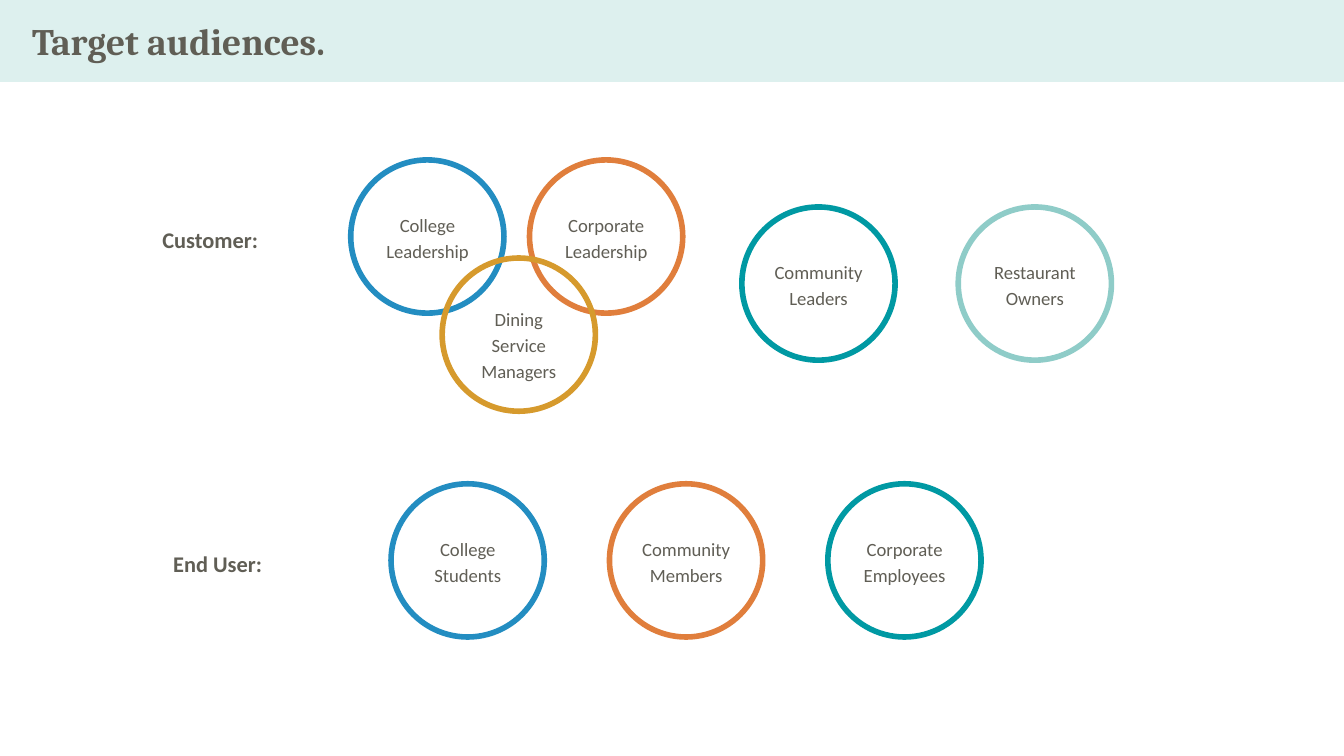
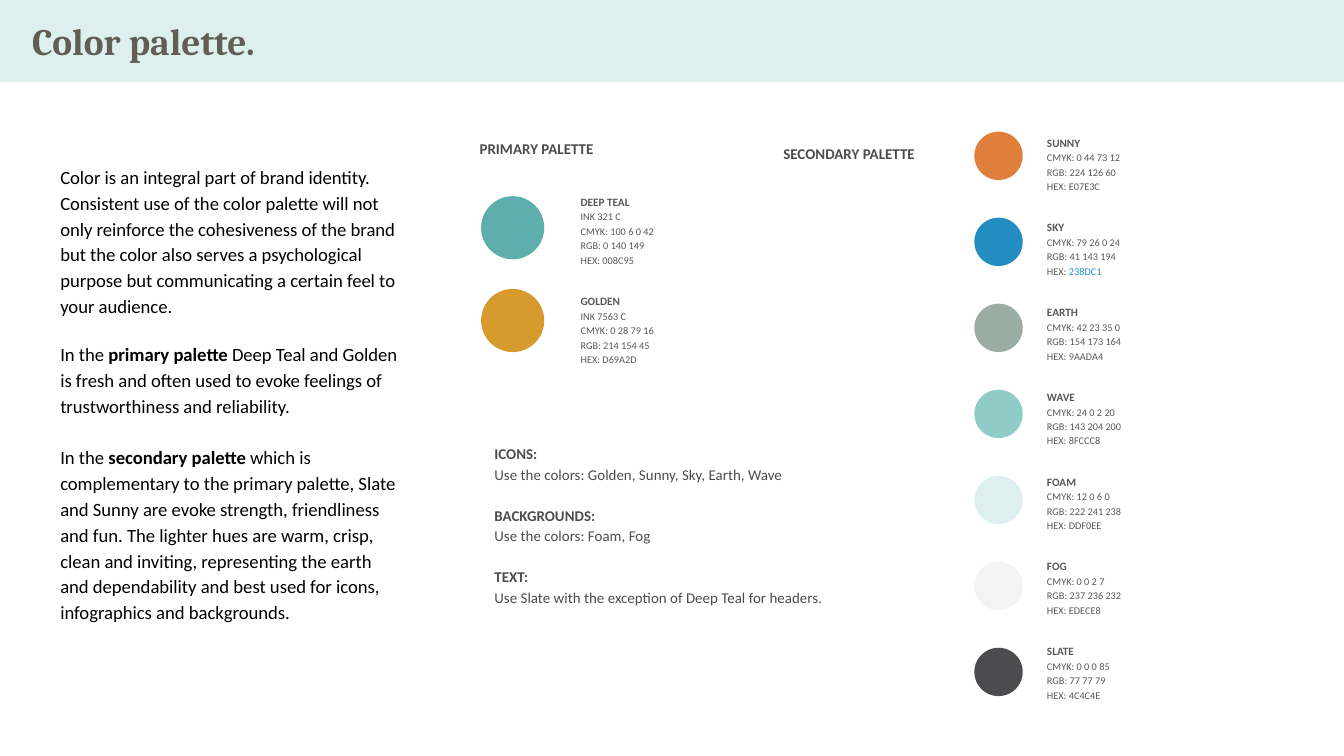
from dataclasses import dataclass, replace

from pptx import Presentation
from pptx.dml.color import RGBColor
from pptx.enum.shapes import MSO_SHAPE as Shape
from pptx.enum.text import MSO_ANCHOR as Anchor, PP_ALIGN as Align
from pptx.util import Inches, Pt

COLUMNS, ROWS = 100, 56.25
CELL = Inches(10) / COLUMNS  # columns and rows are both a tenth of an inch
INSET = 1


@dataclass(frozen=True)
class Style:
    size: float
    color: str
    bold: bool = False
    font: str = "Calibri"

    def strong(self):
        return replace(self, bold=True)


class Theme:
    sunny, sky, golden = "E07E3C", "238DC1", "D69A2D"
    earth, wave, foam = "9AADA4", "8FCCC8", "DDF0EE"
    fog, slate = "F3F3F3", "4C4C4E"
    teal, soft_teal, taupe = "0099A3", "5EAEAD", "605E55"
    title = Style(20, taupe, True, "Cambria")
    group = Style(12, taupe, True)
    audience = Style(10, taupe)
    body = Style(10, "000000")
    usage = Style(8, slate)
    swatch_name = Style(6, "57585A", True)
    swatch_code = Style(5.5, "57585A")
    spacing = 1.15
    ring_width = Pt(3)


def grid(*units):
    return [round(unit * CELL) for unit in units]


def write(frame, paragraphs, align=Align.LEFT, spacing=Theme.spacing):
    """Fill a text frame; each paragraph is (space before, spans of (text, style))."""
    for index, (gap, spans) in enumerate(paragraphs):
        para = frame.paragraphs[0] if index == 0 else frame.add_paragraph()
        para.alignment = align
        para.line_spacing = spacing
        para.space_before = Pt(gap)
        for text, style in spans:
            span = para.add_run()
            span.text = text
            span.font.name = style.font
            span.font.size = Pt(style.size)
            span.font.bold = style.bold
            span.font.color.rgb = RGBColor.from_string(style.color)


def add_text(page, place, paragraphs, anchor=Anchor.TOP, **layout):
    frame = page.shapes.add_textbox(*grid(*place)).text_frame
    frame.word_wrap = True
    frame.vertical_anchor = anchor
    frame.margin_left, frame.margin_top, frame.margin_right, frame.margin_bottom = grid(*[INSET] * 4)
    write(frame, paragraphs, **layout)


def add_label(page, place, text, style, anchor=Anchor.MIDDLE, **layout):
    add_text(page, place, [(0, [(text, style)])], anchor, **layout)


def add_filled(page, kind, place, color):
    shape = page.shapes.add_shape(kind, *grid(*place))
    shape.shadow.inherit = False
    shape.fill.solid()
    shape.fill.fore_color.rgb = RGBColor.from_string(color)
    shape.line.fill.background()


def add_audience(page, left, top, text, color, label_drop=0):
    """Draw a ring with its label centred inside, lowered by label_drop."""
    diameter, width, height = 11.4, 9.1, 4.5
    ring = page.shapes.add_shape(Shape.OVAL, *grid(left, top, diameter, diameter))
    ring.shadow.inherit = False
    ring.fill.background()
    ring.line.color.rgb = RGBColor.from_string(color)
    ring.line.width = Theme.ring_width
    label_left = left + (diameter - width) / 2
    label_top = top + (diameter - height) / 2 + label_drop
    add_label(page, (label_left, label_top, width, height), text,
              Theme.audience, align=Align.CENTER)


def add_swatches(page, colors, left, top, diameter, pitch):
    for index, color in enumerate(colors):
        add_filled(page, Shape.OVAL, (left, top + index * pitch, diameter, diameter), color)


def add_codes(page, left, top, width, row_height, entries):
    """List each colour's name and codes in a one-column table."""
    place = grid(left, top, width, row_height * len(entries))
    table = page.shapes.add_table(len(entries), 1, *place).table
    table.first_row = table.horz_banding = False
    for index, (name, *codes) in enumerate(entries):
        cell = table.cell(index, 0)
        cell.fill.background()
        cell.margin_left, cell.margin_right = grid(INSET / 2, INSET / 2)
        cell.margin_top, cell.margin_bottom = grid(INSET, INSET)
        lines = [[(name, Theme.swatch_name)]]
        for code in codes:
            spans = code if isinstance(code, list) else [(code, Theme.swatch_code)]
            lines.append(spans)
        write(cell.text_frame, [(0, spans) for spans in lines])


def add_page(deck, title):
    page = deck.slides.add_slide(deck.slide_layouts[6])
    add_filled(page, Shape.RECTANGLE, (0, 0, COLUMNS, 6.1), Theme.foam)
    add_label(page, (1.4, 0.5, 91.8, 5.1), title, Theme.title, spacing=1.0)
    return page


def build_audiences(deck):
    page = add_page(deck, "Target audiences.")
    add_label(page, (11.1, 15.4, 14.2, 4.5), "Customer:", Theme.group)
    add_label(page, (11.9, 39.5, 14.2, 4.5), "End User:", Theme.group)

    add_audience(page, 26.1, 11.9, "College Leadership", Theme.sky)
    add_audience(page, 39.4, 11.9, "Corporate Leadership", Theme.sunny)
    add_audience(page, 32.9, 19.2, "Dining Service Managers", Theme.golden, label_drop=0.65)
    add_audience(page, 55.2, 15.4, "Community Leaders", Theme.teal)
    add_audience(page, 71.3, 15.4, "Restaurant Owners", Theme.wave)

    end_users = [("College Students", Theme.sky),
                 ("Community Members", Theme.sunny),
                 ("Corporate Employees", Theme.teal)]
    for index, (text, color) in enumerate(end_users):
        add_audience(page, 29.1 + 16.25 * index, 36, text, color)


def build_palette(deck):
    page = add_page(deck, "Color palette.")
    body, usage = Theme.body, Theme.usage
    add_text(page, (3.5, 11.1, 27.5, 39.6), [
        (0, [("Color is an integral part of brand identity. Consistent use of the color "
              "palette will not only reinforce the cohesiveness of the brand but the color "
              "also serves a psychological purpose but communicating a certain feel to "
              "your audience.", body)]),
        (12, [("In the ", body), ("primary palette ", body.strong()),
              ("Deep Teal and Golden is fresh and often used to evoke feelings of "
               "trustworthiness and reliability.", body)]),
        (14, [("In the ", body), ("secondary palette ", body.strong()),
              ("which is complementary to the primary palette, Slate and Sunny are evoke "
               "strength, friendliness and fun. The lighter hues are warm, crisp, clean and "
               "inviting, representing the earth and dependability and best used for icons, "
               "infographics and backgrounds.", body)]),
    ])

    add_label(page, (34.7, 9.4, 17.1, 3.4), "PRIMARY PALETTE", usage.strong(), Anchor.TOP)
    add_swatches(page, [Theme.soft_teal, Theme.golden], 35.8, 14.6, 4.7, 6.9)
    add_codes(page, 42.7, 13.4, 13.5, 7.4, [
        ("DEEP TEAL", "INK 321 C", "CMYK: 100 6 0 42", "RGB: 0 140 149", "HEX: 008C95"),
        ("GOLDEN", "INK 7563 C", "CMYK: 0 28 79 16", "RGB: 214 154 45", "HEX: D69A2D"),
    ])

    add_label(page, (57.3, 9.8, 13.5, 3.4), "SECONDARY PALETTE", usage.strong(), Anchor.TOP)
    add_swatches(page, [Theme.sunny, Theme.sky, Theme.earth, Theme.wave, Theme.foam,
                        Theme.fog, Theme.slate], 72.5, 9.8, 3.6, 6.4)
    sky_hex = [("HEX: ", Theme.swatch_code),
               ("238DC1", replace(Theme.swatch_code, color=Theme.sky))]
    add_codes(page, 77.4, 9, 10.4, 6.3, [
        ("SUNNY", "CMYK: 0 44 73 12", "RGB: 224 126 60", "HEX: E07E3C"),
        ("SKY", "CMYK: 79 26 0 24", "RGB: 41 143 194", sky_hex),
        ("EARTH", "CMYK: 42 23 35 0", "RGB: 154 173 164", "HEX: 9AADA4"),
        ("WAVE", "CMYK: 24 0 2 20", "RGB: 143 204 200", "HEX: 8FCCC8"),
        ("FOAM", "CMYK: 12 0 6 0", "RGB: 222 241 238", "HEX: DDF0EE"),
        ("FOG", "CMYK: 0 0 2 7", "RGB: 237 236 232", "HEX: EDECE8"),
        ("SLATE", "CMYK: 0 0 0 85", "RGB: 77 77 79", "HEX: 4C4C4E"),
    ])

    rules = [("ICONS:", "Use the colors: Golden, Sunny, Sky, Earth, Wave"),
             ("BACKGROUNDS:", "Use the colors: Foam, Fog"),
             ("TEXT:", "Use Slate with the exception of Deep Teal for headers.")]
    paragraphs = []
    for index, (heading, advice) in enumerate(rules):
        paragraphs.append((11 if index else 0, [(heading, usage.strong())]))
        paragraphs.append((0, [(advice, usage)]))
    add_text(page, (35.8, 31.9, 28.5, 14.2), paragraphs)


def main():
    deck = Presentation()
    deck.slide_width, deck.slide_height = grid(COLUMNS, ROWS)
    build_audiences(deck)
    build_palette(deck)
    deck.save("out.pptx")


if __name__ == "__main__":
    main()
